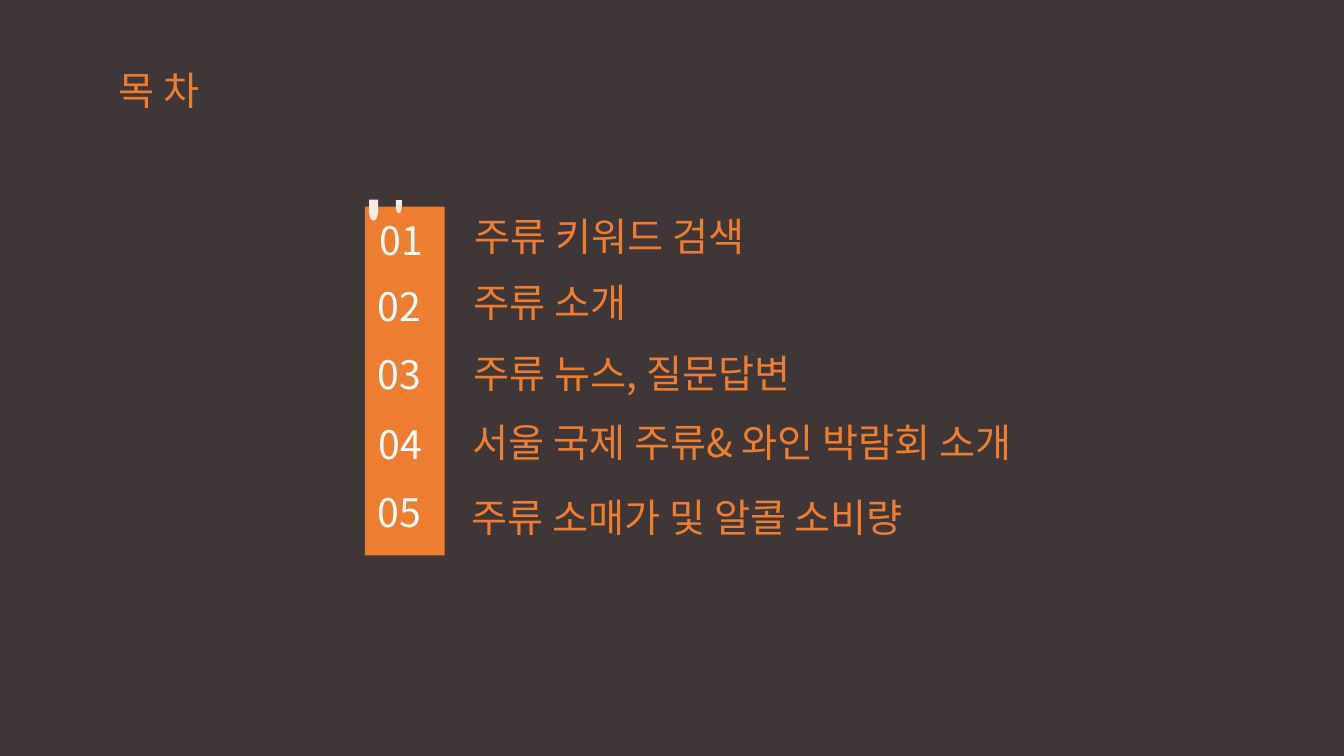
from lxml import etree
from pptx import Presentation
from pptx.dml.color import RGBColor
from pptx.enum.shapes import MSO_SHAPE
from pptx.enum.text import MSO_AUTO_SIZE
from pptx.oxml.ns import qn
from pptx.util import Inches, Pt

RECTANGLE = MSO_SHAPE.RECTANGLE
DELAY = MSO_SHAPE.FLOWCHART_DELAY
FIT_SHAPE = MSO_AUTO_SIZE.SHAPE_TO_FIT_TEXT
FONT = "Noto Sans CJK KR"
COLORS = {"background": "3E3637", "orange": "ED7D31", "cream": "F4EBE7", "white": "FFFFFF"}

deck = Presentation()
deck.slide_width, deck.slide_height = Inches(13.33), Inches(7.5)
page = deck.slides.add_slide(deck.slide_layouts[6])
page.background.fill.solid()
page.background.fill.fore_color.rgb = RGBColor.from_string(COLORS["background"])


def add_text(text, left, top, width, color="orange", height=0.57, size=28):
    box = page.shapes.add_textbox(Inches(left), Inches(top), Inches(width), Inches(height))
    box.text_frame.word_wrap = True
    box.text_frame.auto_size = FIT_SHAPE
    span = box.text_frame.paragraphs[0].add_run()
    span.text = text
    span.font.size = Pt(size)
    span.font.color.rgb = RGBColor.from_string(COLORS[color])
    span.font.name = FONT
    # Korean glyphs take the East Asian typeface
    etree.SubElement(span.font._element, qn("a:ea"), typeface=FONT)


def add_block(kind, left, top, width, height, color, rotation=0):
    block = page.shapes.add_shape(kind, Inches(left), Inches(top), Inches(width), Inches(height))
    block.shadow.inherit = False
    block.fill.solid()
    block.fill.fore_color.rgb = RGBColor.from_string(COLORS[color])
    block.line.fill.background()
    block.rotation = rotation


add_block(RECTANGLE, 3.62, 2.05, 0.79, 3.46, "orange")
for left, top, width, height in [(3.6, 2.04, 0.21, 0.09), (3.89, 2.02, 0.13, 0.06)]:
    add_block(DELAY, left, top, width, height, "cream", rotation=90)

add_text("목 차", 1.08, 0.61, 1.18)

# number left, number top, title, title left, title top, title width
entries = [
    (3.67, 2.1, "주류 키워드 검색", 4.61, 2.06, 3.31),
    (3.65, 2.75, "주류 소개", 4.6, 2.71, 1.87),
    (3.65, 3.43, "주류 뉴스, 질문답변", 4.6, 3.42, 4.31),
    (3.66, 4.12, "서울 국제 주류& 와인 박람회 소개", 4.59, 4.1, 6.14),
    (3.65, 4.8, "주류 소매가 및 알콜 소비량", 4.58, 4.84, 6.14),
]
for number, (number_left, number_top, title, left, top, width) in enumerate(entries, 1):
    add_text(f"{number:02}", number_left, number_top, 0.77, color="white")
    add_text(title, left, top, width)

deck.save("out.pptx")
